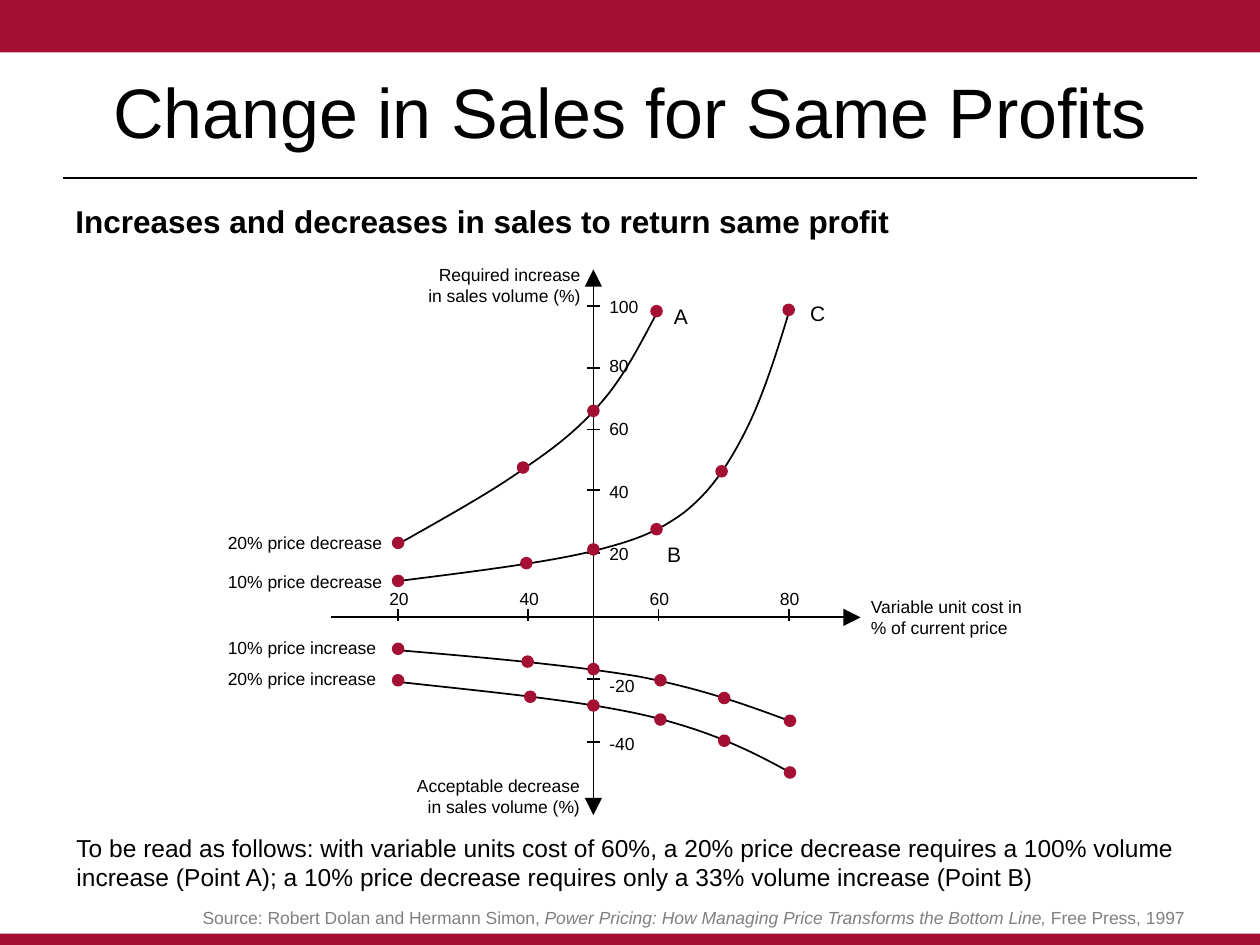
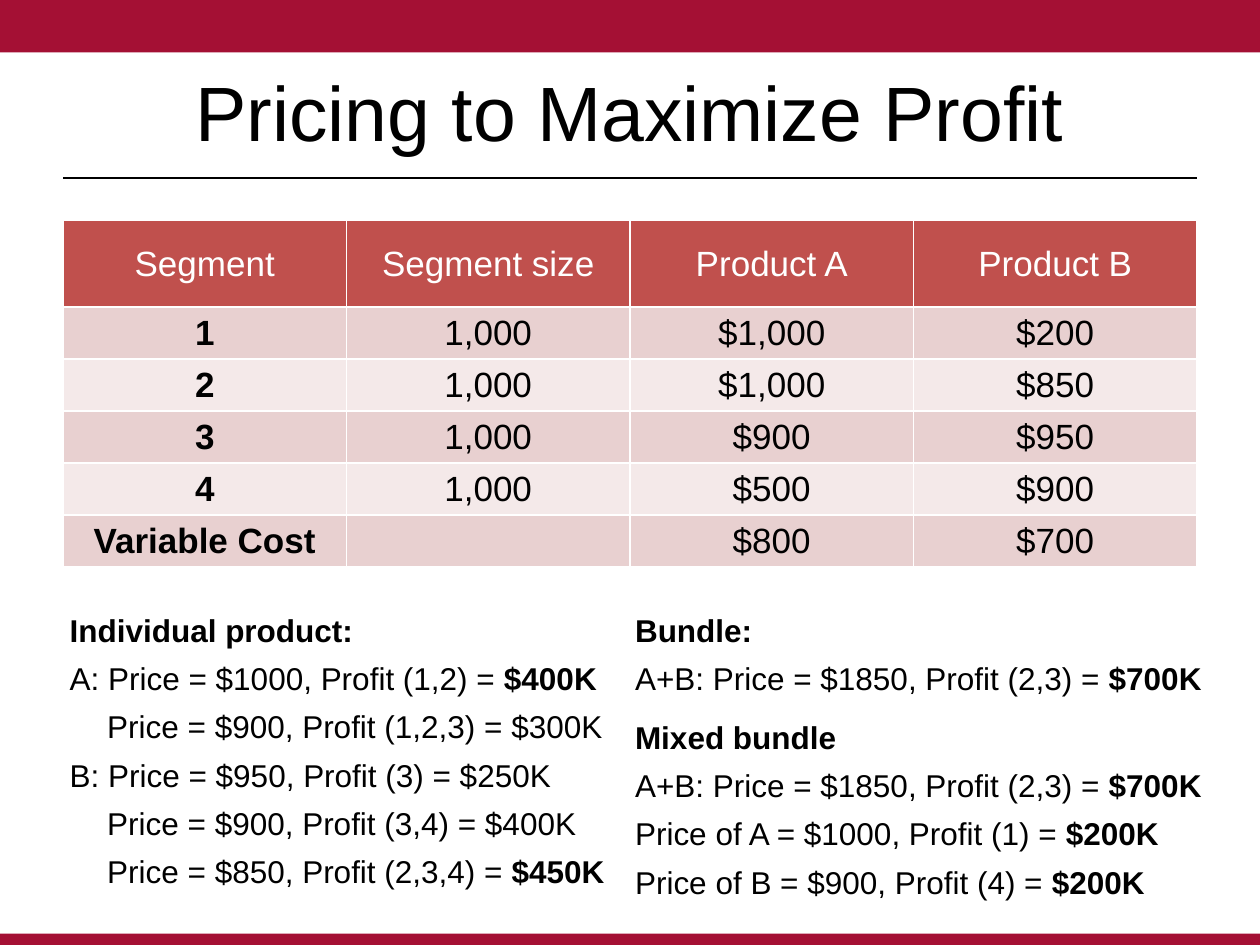
from lxml import etree
from pptx import Presentation
from pptx.dml.color import RGBColor
from pptx.enum.shapes import MSO_CONNECTOR, MSO_SHAPE
from pptx.enum.text import MSO_ANCHOR, PP_ALIGN
from pptx.oxml.ns import qn
from pptx.util import Pt

LEFT, CENTER, RIGHT = PP_ALIGN.LEFT, PP_ALIGN.CENTER, PP_ALIGN.RIGHT
TOP, MIDDLE, BOTTOM = MSO_ANCHOR.TOP, MSO_ANCHOR.MIDDLE, MSO_ANCHOR.BOTTOM
STRAIGHT = MSO_CONNECTOR.STRAIGHT
RECT, OVAL = MSO_SHAPE.RECTANGLE, MSO_SHAPE.OVAL

FONT = "Arial"
COLORS = {
    "crimson": "A41034",
    "black": "000000",
    "white": "FFFFFF",
    "gray": "808080",
    "header": "C0504D",
    "row_dark": "E8D0D0",
    "row_light": "F4E9E9",
}

CURVES = [
    [(20, 23.5), (27.5, 32.4), (34.9, 40.9), (40.1, 48.9), (45.5, 56.6),
     (48.8, 62.7), (52.1, 71.2), (55.2, 79.3), (57.5, 89), (59.9, 98.3)],
    [(20.2, 11.7), (31.2, 14.6), (42.1, 17.4), (49.4, 21), (56.6, 24.7),
     (59.9, 27.5), (63.9, 33.6), (67.8, 40), (70.5, 48.1), (73.2, 59.1),
     (75.9, 70), (78.1, 84.5), (80.2, 99.1)],
    [(19.8, -10.5), (33.4, -12.9), (46.7, -15.4), (57, -19), (67, -23.1),
     (73.8, -28.3), (80.6, -33.6)],
    [(19.6, -20.6), (33.9, -23.9), (48.3, -26.7), (58.3, -31.6),
     (68.6, -36.8), (74.6, -43.3), (80.6, -50.2)],
]
DOTS = [
    [(20, 23.9), (39.2, 48.1), (50, 66.3), (59.7, 98.3)],
    [(20, 11.7), (39.7, 17.4), (50, 21.8), (59.7, 28.3), (69.7, 46.9), (80, 98.7)],
    [(20, -10.1), (39.9, -14.2), (50, -16.6), (60.3, -20.2), (70.1, -25.9), (80.2, -33.2)],
    [(20, -20.2), (40.3, -25.5), (50, -28.3), (60.3, -32.8), (70.1, -39.6), (80.2, -49.8)],
]
VOLUME_TICKS = [
    ("100", -177.8, -187.2, 31),
    ("80", -142.6, -153.4, 25.9),
    ("60", -107.3, -117.4, 25.9),
    ("40", -72.7, -81.4, 25.9),
    ("20", -36.7, -46.1, 25.9),
    ("-20", 35.3, 29.5, 28.8),
    ("-40", 71.3, 62.6, 28.8),
]
CHART_LABELS = [
    ("Required increase\nin sales volume (%)", 106.9, 0, 108.7, 31.7, 10, RIGHT),
    ("Acceptable decrease\nin sales volume (%)", 105.1, 291.6, 110.2, 31.7, 10, RIGHT),
    ("Variable unit cost in\n% of current price", 367.5, 189.2, 105.8, 31.7, 10, LEFT),
    ("20% price decrease", 0, 153.1, 103, 19.4, 10, LEFT),
    ("10% price decrease", 0, 175, 103, 19.4, 10, LEFT),
    ("10% price increase", 0, 212.7, 100, 19.4, 10, LEFT),
    ("20% price increase", 0, 230.4, 100, 19.4, 10, LEFT),
    ("A", 254.9, 22.3, 22.4, 21.6, 12, LEFT),
    ("B", 251, 158.4, 22.4, 21.6, 12, LEFT),
    ("C", 332.8, 20.5, 23, 21.6, 12, LEFT),
]
SEGMENTS = [
    ["Segment", "Segment size", "Product A", "Product B"],
    ["1", "1,000", "$1,000", "$200"],
    ["2", "1,000", "$1,000", "$850"],
    ["3", "1,000", "$900", "$950"],
    ["4", "1,000", "$500", "$900"],
    ["Variable Cost", "", "$800", "$700"],
]
INDIVIDUAL = [
    (0, 0, "", "Individual product:"),
    (0, 6, "A: Price = $1000, Profit (1,2) = ", "$400K"),
    (21.4, 6, "Price = $900, Profit (1,2,3) = $300K", ""),
    (0, 6, "B: Price = $950, Profit (3) = $250K", ""),
    (21.4, 6, "Price = $900, Profit (3,4) = $400K", ""),
    (21.4, 6, "Price = $850, Profit (2,3,4) = ", "$450K"),
]
BUNDLES = [
    (0, 0, "", "Bundle:"),
    (0, 6, "A+B: Price = $1850, Profit (2,3) = ", "$700K"),
    (0, 12, "", "Mixed bundle"),
    (0, 6, "A+B: Price = $1850, Profit (2,3) = ", "$700K"),
    (0, 6, "Price of A = $1000, Profit (1) = ", "$200K"),
    (0, 6, "Price of B = $900, Profit (4) = ", "$200K"),
]


def rgb(name):
    return RGBColor.from_string(COLORS[name])


def style(p, size, color="black", align=LEFT):
    p.alignment = align
    p.font.name = FONT
    p.font.size = Pt(size)
    p.font.color.rgb = rgb(color)


def add_box(s, box, anchor=TOP, wrap=False):
    tf = s.shapes.add_textbox(*map(Pt, box)).text_frame
    tf.word_wrap = wrap
    tf.vertical_anchor = anchor
    return tf


def add_text(s, box, text, size, align=LEFT, anchor=TOP, wrap=False):
    p = add_box(s, box, anchor, wrap).paragraphs[0]
    p.text = text
    style(p, size, align=align)
    return p


def add_solid(s, kind, box):
    sp = s.shapes.add_shape(kind, *map(Pt, box))
    sp.shadow.inherit = False
    sp.fill.solid()
    sp.fill.fore_color.rgb = rgb("crimson")
    sp.line.fill.background()


def add_line(s, x1, y1, x2, y2, width=1, arrows=()):
    c = s.shapes.add_connector(STRAIGHT, *map(Pt, (x1, y1, x2, y2)))
    c.line.color.rgb = rgb("black")
    c.line.width = Pt(width)
    ln = c.line._get_or_add_ln()
    for end in arrows:
        etree.SubElement(ln, qn(end), type="triangle", w="lg", len="lg")
    etree.SubElement(c._element.spPr, qn("a:effectLst"))


def add_curve(s, points):
    corners = [(Pt(x), Pt(y)) for x, y in points]
    fb = s.shapes.build_freeform(*corners[0])
    fb.add_line_segments(corners[1:], close=False)
    sp = fb.convert_to_shape()
    lines = list(sp._element.iter(qn("a:lnTo")))
    for i in range(0, len(lines), 3):
        bend = etree.Element(qn("a:cubicBezTo"))
        lines[i].addprevious(bend)
        for line in lines[i:i + 3]:
            bend.append(line[0])
            line.getparent().remove(line)
    sp.shadow.inherit = False
    sp.fill.background()
    sp.line.color.rgb = rgb("black")
    sp.line.width = Pt(1)


def add_base(prs, title, size):
    s = prs.slides.add_slide(prs.slide_layouts[6])
    add_solid(s, RECT, (0, 0, 720, 30))
    add_solid(s, RECT, (0, 533.5, 720, 6.5))
    add_line(s, 36, 101.75, 684, 101.75, 1.25)
    add_text(s, (36, 18, 648, 90), title, size, CENTER, MIDDLE, True)
    return s


def sales_chart(s, x, y):
    def place(cost, volume):
        return x + 216 + (cost - 50) * 3.72, y + 205.2 - volume * 1.78

    ox, oy = place(50, 0)
    add_line(s, ox, y + 6.3, ox, y + 318.2, arrows=("a:headEnd", "a:tailEnd"))
    add_line(s, x + 66.3, oy, x + 368.7, oy, arrows=("a:tailEnd",))
    for text, tick, top, width in VOLUME_TICKS:
        add_line(s, ox - 3.4, oy + tick, ox + 3.8, oy + tick)
        add_text(s, (ox + 2, oy + top, width, 19.4), text, 10)
    for cost in (20, 40, 60, 80):
        tx = place(cost, 0)[0]
        add_line(s, tx, oy + 2.2, tx, oy - 5)
        add_text(s, (tx - 12.1, oy - 20.2, 25.9, 19.4), str(cost), 10)
    for curve in CURVES:
        add_curve(s, [place(*point) for point in curve])
    for series in DOTS:
        for point in series:
            cx, cy = place(*point)
            add_solid(s, OVAL, (cx - 3.6, cy - 3.6, 7.2, 7.2))
    for text, dx, dy, w, h, size, align in CHART_LABELS:
        add_text(s, (x + dx, y + dy, w, h), text, size, align)


def source_line(s, box):
    p = add_box(s, box, BOTTOM, True).paragraphs[0]
    style(p, 10, "gray", RIGHT)
    for text, italic in (
        ("Source: Robert Dolan and Hermann Simon, ", False),
        ("Power Pricing: How Managing Price Transforms the Bottom Line, ", True),
        ("Free Press, 1997", False),
    ):
        r = p.add_run()
        r.text = text
        r.font.italic = italic


def add_borders(cell):
    tc_pr = cell._tc.get_or_add_tcPr()
    for side in "LRTB":
        ln = etree.SubElement(tc_pr, qn("a:ln" + side), w=str(Pt(1)))
        fill = etree.SubElement(ln, qn("a:solidFill"))
        etree.SubElement(fill, qn("a:srgbClr"), val=COLORS["white"])


def segment_table(s, x, y, w, header_h, row_h):
    rows, cols = len(SEGMENTS), len(SEGMENTS[0])
    height = header_h + row_h * (rows - 1)
    table = s.shapes.add_table(rows, cols, Pt(x), Pt(y), Pt(w), Pt(height)).table
    for i, values in enumerate(SEGMENTS):
        table.rows[i].height = Pt(row_h if i else header_h)
        fill = ("row_dark" if i % 2 else "row_light") if i else "header"
        for j, value in enumerate(values):
            cell = table.cell(i, j)
            add_borders(cell)
            cell.fill.solid()
            cell.fill.fore_color.rgb = rgb(fill)
            cell.vertical_anchor = MIDDLE
            cell.margin_top = cell.margin_bottom = Pt(2)
            p = cell.text_frame.paragraphs[0]
            style(p, 20, "black" if i else "white", CENTER)
            p.font.bold = i > 0 and j == 0
            if value:
                p.text = value


def profit_list(s, box, lines):
    tf = add_box(s, box)
    for i, (indent, space, plain, strong) in enumerate(lines):
        p = tf.add_paragraph() if i else tf.paragraphs[0]
        if indent:
            p._p.get_or_add_pPr().set("marL", str(Pt(indent)))
        p.space_before = Pt(space)
        style(p, 18)
        for text, bold in ((plain, False), (strong, True)):
            if text:
                r = p.add_run()
                r.text = text
                r.font.bold = bold


def sales_slide(prs):
    s = add_base(prs, "Change in Sales for Same Profits", 40)
    p = add_text(s, (36, 112, 502.6, 28.8),
                 "Increases and decreases in sales to return same profit", 18)
    p.font.bold = True
    sales_chart(s, 123.1, 147.6)
    add_text(s, (36.6, 472.5, 647.3, 41),
             "To be read as follows: with variable units cost of 60%, a 20% price "
             "decrease requires a 100% volume increase (Point A); a 10% price decrease "
             "requires only a 33% volume increase (Point B)", 14, wrap=True)
    source_line(s, (36, 512, 648, 21.6))


def pricing_slide(prs):
    s = add_base(prs, "Pricing to Maximize Profit", 44)
    segment_table(s, 36, 126, 648, 49.5, 29.7)
    profit_list(s, (355.8, 345.5, 339.8, 168.5), BUNDLES)
    profit_list(s, (32.8, 345.5, 321.8, 168.5), INDIVIDUAL)


def main():
    prs = Presentation()
    prs.slide_width, prs.slide_height = Pt(720), Pt(540)
    sales_slide(prs)
    pricing_slide(prs)
    prs.save("out.pptx")


if __name__ == "__main__":
    main()
